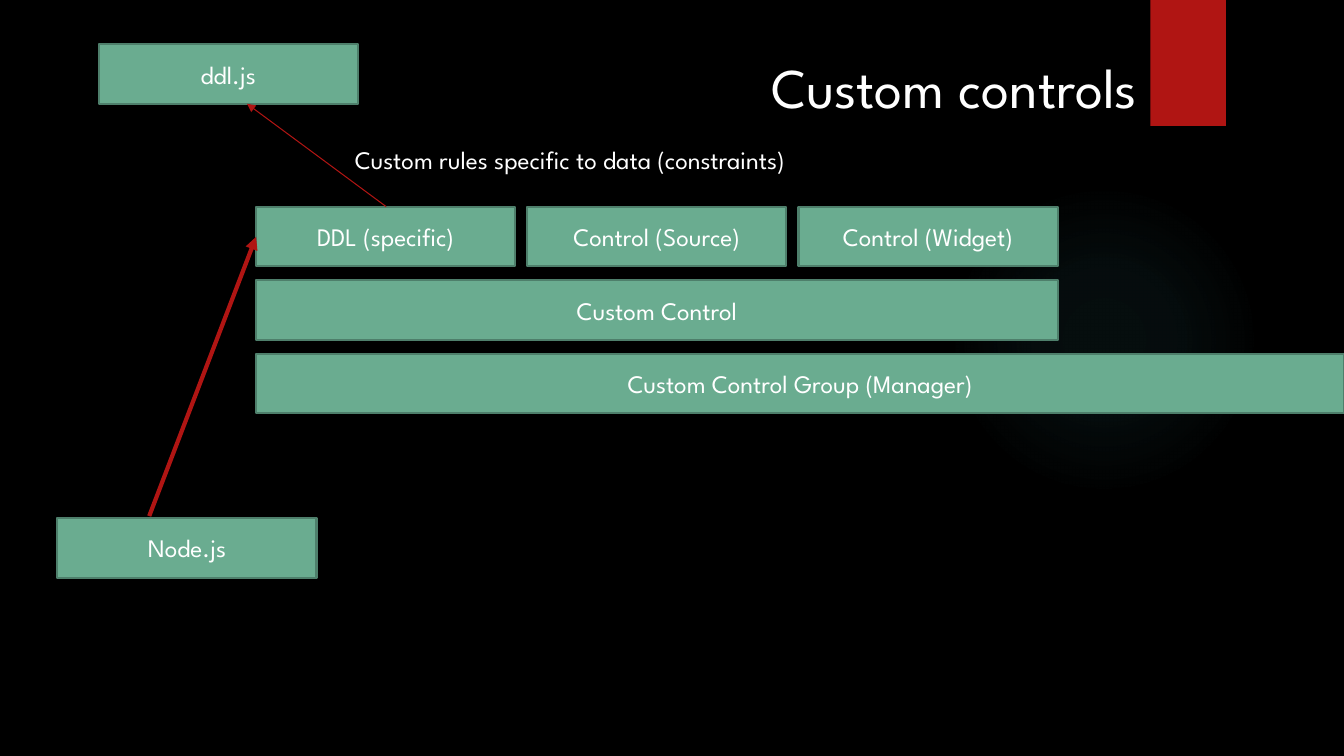
from lxml import etree
from pptx import Presentation
from pptx.dml.color import RGBColor
from pptx.enum import shapes, text
from pptx.oxml import parse_xml
from pptx.oxml.ns import nsdecls, qn
from pptx.util import Inches, Pt

FONT = "League Spartan"
WHITE, BLACK, RED = "FFFFFF", "000000", "B01513"
GREEN, DARK_GREEN, TEAL = "6AAC90", "4E7F6B", "50B9C1"
BOX_W, BOX_H = 2.57, 0.59
GAP, ROW_STEP = 0.12, 0.73


def rgb(value):
    return RGBColor.from_string(value)


def style(p, size):
    p.font.name, p.font.size = FONT, Pt(size)
    p.font.color.rgb = rgb(WHITE)


def add_plain(s, kind, x, y, w, h):
    sp = s.shapes.add_shape(kind, Inches(x), Inches(y), Inches(w), Inches(h))
    sp.shadow.inherit = False
    sp.line.fill.background()
    return sp


def add_box(s, label, x, y, w=BOX_W):
    sp = add_plain(s, shapes.MSO_SHAPE.RECTANGLE, x, y, w, BOX_H)
    sp.fill.solid()
    sp.fill.fore_color.rgb = rgb(GREEN)
    sp.line.color.rgb = rgb(DARK_GREEN)
    sp.line.width = Pt(1.5)
    tf = sp.text_frame
    tf.vertical_anchor = text.MSO_ANCHOR.MIDDLE
    p = tf.paragraphs[0]
    p.text, p.alignment = label, text.PP_ALIGN.CENTER
    style(p, 18)


def add_arrow(s, x1, y1, x2, y2, width):
    line = s.shapes.add_connector(shapes.MSO_CONNECTOR.STRAIGHT,
                                  Inches(x1), Inches(y1), Inches(x2), Inches(y2))
    line.line.color.rgb = rgb(RED)
    line.line.width = Pt(width)
    etree.SubElement(line.line._get_or_add_ln(), qn("a:tailEnd"), type="triangle")
    etree.SubElement(line._element.spPr, qn("a:effectLst"))


def add_backdrop(s):
    s.background.fill.solid()
    s.background.fill.fore_color.rgb = rgb(BLACK)

    # Soft radial glow
    glow = add_plain(s, shapes.MSO_SHAPE.OVAL, 9.41, 1.83, 3.08, 3.08)
    stops = "".join(
        f'<a:gs pos="{pos * 1000}"><a:srgbClr val="{TEAL}">'
        f'<a:alpha val="{alpha * 1000}"/></a:srgbClr></a:gs>'
        for pos, alpha in ((0, 7), (36, 6), (69, 0)))
    glow._element.spPr.find(qn("a:prstGeom")).addnext(parse_xml(
        f'<a:gradFill {nsdecls("a")}><a:gsLst>{stops}</a:gsLst><a:path path="circle">'
        '<a:fillToRect l="50000" t="50000" r="50000" b="50000"/></a:path></a:gradFill>'))

    # Red ribbon
    ribbon = add_plain(s, shapes.MSO_SHAPE.RECTANGLE, 11.41, 0, 0.75, 1.25)
    ribbon.fill.solid()
    ribbon.fill.fore_color.rgb = rgb(RED)


def add_title(s, label, x, y, w, h):
    title = s.shapes.title
    title.left, title.top, title.width, title.height = map(Inches, (x, y, w, h))
    tf = title.text_frame
    tf.auto_size = text.MSO_AUTO_SIZE.NONE
    tf.vertical_anchor = text.MSO_ANCHOR.TOP
    p = tf.paragraphs[0]
    p.text, p.alignment = label, text.PP_ALIGN.LEFT
    style(p, 40)


def add_note(s, label, x, y, w, h):
    tf = s.shapes.add_textbox(Inches(x), Inches(y), Inches(w), Inches(h)).text_frame
    tf.word_wrap = False
    p = tf.paragraphs[0]
    p.text = label
    style(p, 18)


def add_control_stack(s, x, y, full_w):
    controls = ("DDL (specific)", "Control (Source)", "Control (Widget)")
    for i, label in enumerate(controls):
        add_box(s, label, x + i * (BOX_W + GAP), y)
    controls_w = len(controls) * (BOX_W + GAP) - GAP
    add_box(s, "Custom Control", x, y + ROW_STEP, controls_w)
    add_box(s, "Custom Control Group (Manager)", x, y + 2 * ROW_STEP, full_w)


def main():
    prs = Presentation()
    prs.slide_width, prs.slide_height = Inches(13.33), Inches(7.5)
    s = prs.slides.add_slide(prs.slide_layouts[5])
    add_backdrop(s)
    add_control_stack(s, 2.54, 2.05, 10.79)

    # Script files and the links to the DDL control
    add_box(s, "ddl.js", 0.98, 0.44)
    add_arrow(s, 3.83, 2.05, 2.45, 1.03, 0.75)
    add_note(s, "Custom rules specific to data (constraints)", 3.42, 1.38, 5.32, 0.4)
    add_title(s, "Custom controls", 7.55, 0.47, 5.43, 0.77)
    add_box(s, "Node.js", 0.57, 5.14)
    add_arrow(s, 1.48, 5.12, 2.54, 2.35, 3)
    prs.save("out.pptx")


if __name__ == "__main__":
    main()
